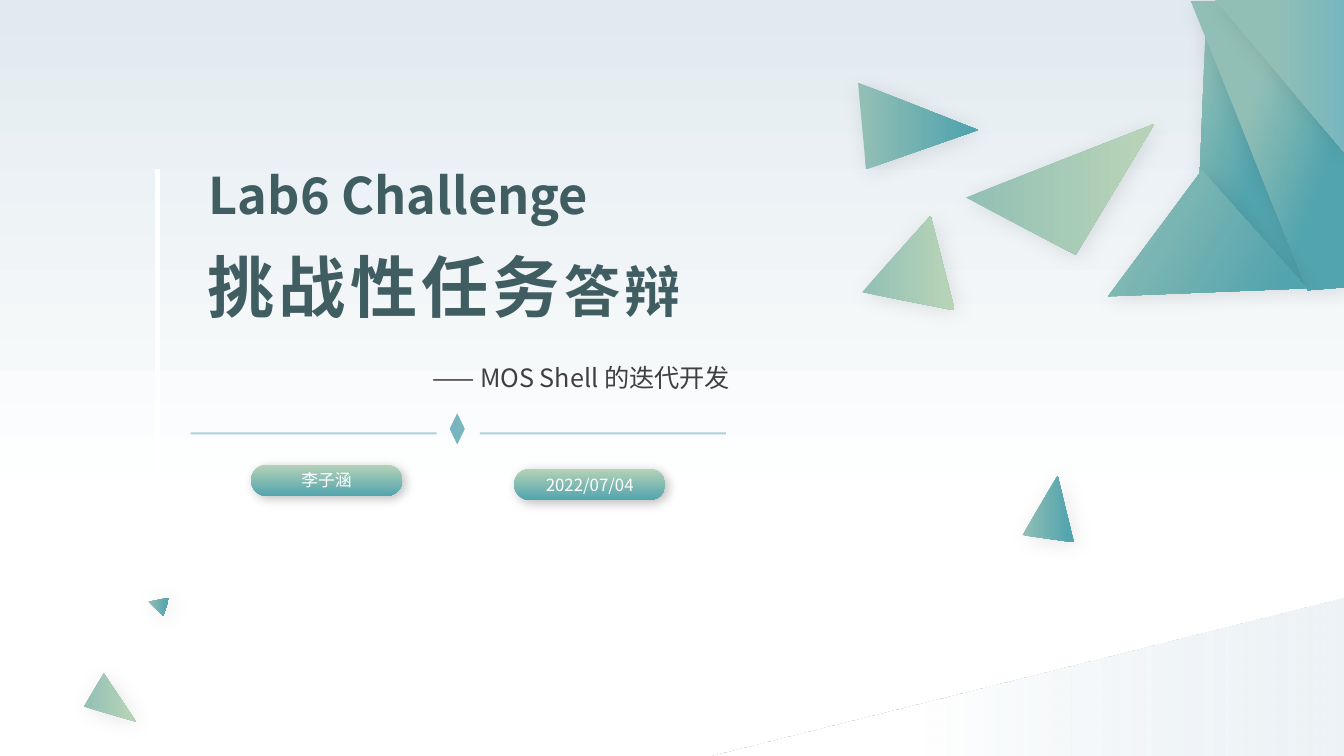
"""Builds the cover slide for the Lab6 Challenge defence."""
from dataclasses import dataclass

from lxml import etree
from pptx import Presentation
from pptx import util as u
from pptx.dml.color import RGBColor
from pptx.enum import shapes, text
from pptx.oxml.ns import qn


@dataclass(frozen=True)
class Theme:
    font: str = "Noto Sans CJK SC"
    white: str = "FFFFFF"
    mist: str = "E1EAEF"
    sage: str = "92BFB5"
    leaf: str = "B6D3B7"
    teal: str = "52A4AE"
    sky: str = "77B6BF"
    heading: str = "405E62"
    body: str = "404040"
    title_pt: int = 48
    title_tail_pt: int = 40
    lead_pt: int = 36
    subtitle_pt: int = 18
    pill_pt: int = 12


T = Theme()
SLIDE = (13.33, 7.5)
FACET_SHADOW = (10, 15)
PILL_SHADOW = (25, 8)
LEAF = ((0, T.sage), (92, T.leaf), 0)
TEAL = ((0, T.sage), (92, T.teal), 0)

LEAD = ("Lab6 Challenge", (1.17, 1.45, 5.62, 0.77))
TITLE = ([("挑战性任务", T.title_pt), ("答辩", T.title_tail_pt)],
         (1.96, 2.38, 7.46, 0.91))
SUBTITLE = ("—— MOS Shell 的迭代开发", (2.49, 3.54, 4.85, 0.41))
PILLS = [("李子涵", (2.49, 4.61, 1.5, 0.31)),
         ("2022/07/04", (5.1, 4.65, 1.5, 0.31))]
CORNER_FACETS = [
    ([(11.9, 1.71), (11.96, 0.25), (12.96, 2.87)],
     ((3, T.sage), (54, T.teal), 20)),
    ([(11.81, 0.01), (12.97, 2.88), (13.35, 2.85), (13.35, 0.01)],
     ((37, T.sage), (76, T.teal), 20)),
]
CORNER_TOP = ((12.05, 0, 1.29, 1.52), ((45, T.sage), (100, T.sky), 0))
FACETS = [
    ([(8.59, 1.68), (8.51, 0.82), (9.7, 1.29)],
     ((3, T.sage), (92, T.teal), 0)),
    ([(8.55, 2.9), (9.23, 2.14), (9.47, 3.08)], LEAF),
    ([(9.58, 1.96), (11.45, 1.23), (10.67, 2.53)], LEAF),
    ([(10.99, 2.94), (11.92, 1.69), (12.96, 2.86)],
     ((3, T.sage), (89, T.teal), 30)),
    ([(10.14, 5.31), (10.49, 4.72), (10.65, 5.38)], TEAL),
    ([(0.83, 7.01), (1.03, 6.68), (1.35, 7.16)], LEAF),
    ([(1.47, 5.97), (1.68, 5.93), (1.62, 6.11)], TEAL),
]
RULES = [((1.56, 1.68), (1.56, 5.03), T.white, 3.75, 100),
         ((1.89, 4.3), (4.33, 4.3), T.sky, 1.5, 60),
         ((4.76, 4.3), (7.2, 4.3), T.sky, 1.5, 60)]
DIAMOND = (4.46, 4.1, 0.15, 0.31)


def rgb(colour):
    return RGBColor.from_string(colour)


def inches(values):
    return [u.Inches(v) for v in values]


def set_alpha(parent, percent):
    colour = next(parent.iter(qn("a:srgbClr")))
    etree.SubElement(colour, qn("a:alpha"), val=str(percent * 1000))


def paint(shape, gradient, shadow=None):
    *stops, angle = gradient
    shape.fill.gradient()
    shape.fill.gradient_angle = -angle % 360
    for stop, (position, colour) in zip(shape.fill.gradient_stops, stops):
        stop.position = position / 100
        stop.color.rgb = rgb(colour)
    shape.line.fill.background()
    shape.shadow.inherit = False
    if shadow:
        opacity, blur = shadow
        effects = shape._element.spPr.find(qn("a:effectLst"))
        outer = etree.SubElement(
            effects, qn("a:outerShdw"), blurRad=str(u.Pt(blur)),
            dist=str(u.Pt(3)), dir=str(45 * 60000), algn="tl", rotWithShape="0")
        etree.SubElement(outer, qn("a:srgbClr"), val="000000")
        set_alpha(outer, opacity)


def add_preset(slide, kind, box, gradient, shadow=None, adjust=None):
    shape = slide.shapes.add_shape(kind, *inches(box))
    if adjust is not None:
        shape.adjustments[0] = adjust
    paint(shape, gradient, shadow)
    return shape


def add_facets(slide, facets):
    for points, gradient in facets:
        start, *rest = [inches(point) for point in points]
        outline = slide.shapes.build_freeform(*start)
        outline.add_line_segments(rest, close=True)
        paint(outline.convert_to_shape(), gradient, FACET_SHADOW)


def write(frame, runs, colour, size=None, bold=False,
          align=text.PP_ALIGN.LEFT, anchor=text.MSO_ANCHOR.TOP):
    frame.word_wrap = True
    frame.auto_size = text.MSO_AUTO_SIZE.NONE
    frame.vertical_anchor = anchor
    paragraph = frame.paragraphs[0]
    paragraph.alignment = align
    font = paragraph.font
    font.color.rgb = rgb(colour)
    font.name, font.bold, font.size = T.font, bold, size and u.Pt(size)
    etree.SubElement(font._rPr, qn("a:ea"), typeface=T.font)
    for words, run_size in runs:
        run = paragraph.add_run()
        run.text = words
        if run_size:
            run.font.size = u.Pt(run_size)
    return paragraph


def add_rule(slide, start, end, colour, width, opacity):
    rule = slide.shapes.add_connector(
        shapes.MSO_CONNECTOR.STRAIGHT, *inches(start + end))
    rule.line.color.rgb = rgb(colour)
    rule.line.width = u.Pt(width)
    set_alpha(rule._element.spPr, opacity)
    etree.SubElement(rule._element.spPr, qn("a:effectLst"))


def add_backdrop(slide):
    kinds = shapes.MSO_SHAPE
    add_preset(slide, kinds.RECTANGLE, (0, 0, *SLIDE),
               ((0, T.mist), (67, T.white), 90))
    slope = add_preset(slide, kinds.ISOSCELES_TRIANGLE, (6.98, 5.93, 6.37, 1.58),
                       ((0, T.mist), (67, T.white), 180), adjust=1)
    set_alpha(slope._element.spPr, 57)
    add_facets(slide, CORNER_FACETS)
    box, gradient = CORNER_TOP
    corner = add_preset(slide, kinds.ISOSCELES_TRIANGLE, box, gradient,
                        FACET_SHADOW, adjust=1)
    corner._element.spPr.find(qn("a:xfrm")).set("flipV", "1")
    add_facets(slide, FACETS)


def add_words(slide):
    runs, box = TITLE
    title = slide.shapes.title
    title.left, title.top, title.width, title.height = inches(box)
    heading = write(title.text_frame, runs, T.heading, bold=True)
    heading.line_spacing = 1.0
    for run in heading.runs:
        run.font._rPr.set("spc", "300")
    title._element.getparent().append(title._element)

    words, box = LEAD
    frame = slide.shapes.add_textbox(*inches(box)).text_frame
    write(frame, [(words, None)], T.heading, T.lead_pt, True,
          anchor=text.MSO_ANCHOR.MIDDLE).line_spacing = 1.3
    frame.margin_left = u.Inches(0.9)
    frame.margin_right = u.Inches(0.06)
    frame.margin_top = frame.margin_bottom = u.Inches(0.03)

    words, box = SUBTITLE
    frame = slide.shapes.add_textbox(*inches(box)).text_frame
    write(frame, [(words, None)], T.body, T.subtitle_pt,
          align=text.PP_ALIGN.RIGHT)

    for words, box in PILLS:
        pill = add_preset(slide, shapes.MSO_SHAPE.ROUNDED_RECTANGLE, box,
                          ((0, T.leaf), (100, T.teal), 90), PILL_SHADOW, 0.5)
        write(pill.text_frame, [(words, None)], T.white, T.pill_pt,
              align=text.PP_ALIGN.CENTER, anchor=text.MSO_ANCHOR.MIDDLE)


def main():
    deck = Presentation()
    deck.slide_width, deck.slide_height = inches(SLIDE)
    slide = deck.slides.add_slide(deck.slide_layouts[5])
    add_backdrop(slide)
    for rule in RULES:
        add_rule(slide, *rule)
    diamond = slide.shapes.add_shape(shapes.MSO_SHAPE.DIAMOND, *inches(DIAMOND))
    diamond.fill.solid()
    diamond.fill.fore_color.rgb = rgb(T.sky)
    diamond.line.fill.background()
    diamond.shadow.inherit = False
    add_words(slide)
    deck.save("out.pptx")


if __name__ == "__main__":
    main()
